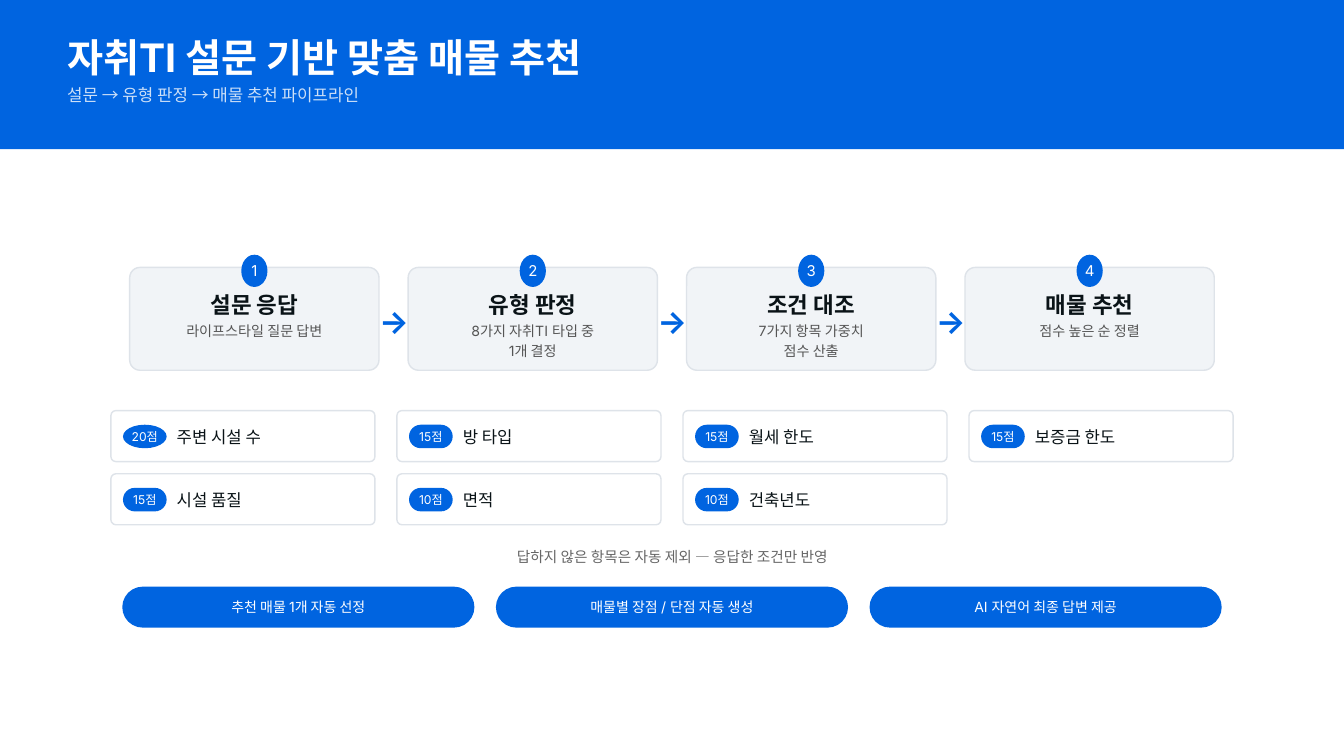
"""Build the slide on a survey-based home recommendation pipeline."""
import pptx
import pptx.util
import pptx.dml.color
import pptx.enum.shapes
import pptx.enum.text
import pptx.oxml.ns
import lxml.etree

RGBColor = pptx.dml.color.RGBColor
BLUE = RGBColor(0x00, 0x64, 0xE0)
WHITE = RGBColor(0xFF, 0xFF, 0xFF)
PALE = RGBColor(0xF1, 0xF4, 0xF7)
EDGE = RGBColor(0xDE, 0xE3, 0xE9)
INK = RGBColor(0x0A, 0x13, 0x17)
GRAY = RGBColor(0x55, 0x55, 0x55)
NOTE = RGBColor(0x66, 0x66, 0x66)
KIND = pptx.enum.shapes.MSO_SHAPE
LEFT = pptx.enum.text.PP_ALIGN.LEFT
MID = pptx.enum.text.PP_ALIGN.CENTER
COLS = 20
FONT = "Inter"

deck = pptx.Presentation()
deck.slide_width = pptx.util.Inches(20)
deck.slide_height = pptx.util.Inches(11.25)
slide = deck.slides.add_slide(deck.slide_layouts[6])
unit = deck.slide_width / COLS


def draw(kind, left, top, wide, high, fill, edge=None, bend=None):
    spot = [round(unit * part) for part in (left, top, wide, high)]
    shape = slide.shapes.add_shape(kind, *spot)
    shape.shadow.inherit = False
    shape.fill.solid()
    shape.fill.fore_color.rgb = fill
    if edge is None:
        shape.line.fill.background()
    else:
        shape.line.color.rgb = edge
        shape.line.width = pptx.util.Pt(1.5)
    if bend is not None:
        shape.adjustments[0] = bend
    return shape


def write(words, size, ink, spot=None, shape=None, bold=False, align=MID):
    if shape is None:
        shape = slide.shapes.add_textbox(*[round(unit * part) for part in spot])
    frame = shape.text_frame
    frame.text = words
    frame.word_wrap = spot is not None
    frame.margin_left = frame.margin_right = frame.margin_top = 0
    frame.margin_bottom = 0 if spot else round(unit * 0.04)
    for para in frame.paragraphs:
        para.alignment = align
        para.line_spacing = pptx.util.Pt(round(size * 1.4, 1))
        for run in para.runs:
            run.font.name = FONT
            run.font.size = pptx.util.Pt(size)
            run.font.bold = bold
            run.font.color.rgb = ink
    return frame


draw(KIND.RECTANGLE, 0, 0, COLS, 2.22, BLUE)
write("자취TI 설문 기반 맞춤 매물 추천", 42, WHITE, (1, 0.38, 12.5, 0.79), bold=True, align=LEFT)
lead = write("설문 → 유형 판정 → 매물 추천 파이프라인", 18, WHITE, (1, 1.21, 12.5, 0.34), align=LEFT)
tint = lead.paragraphs[0].runs[0]._r.find(".//" + pptx.oxml.ns.qn("a:srgbClr"))
lxml.etree.SubElement(tint, pptx.oxml.ns.qn("a:alpha")).set("val", "80000")

steps = [
    ("설문 응답", "라이프스타일 질문 답변"),
    ("유형 판정", "8가지 자취TI 타입 중\n1개 결정"),
    ("조건 대조", "7가지 항목 가중치\n점수 산출"),
    ("매물 추천", "점수 높은 순 정렬"),
]
edge, wide = 1.93, 3.71
pitch = (COLS - 2 * edge - wide) / (len(steps) - 1)
for spot, (name, text) in enumerate(steps):
    left = edge + spot * pitch
    draw(KIND.ROUNDED_RECTANGLE, left, 3.98, wide, 1.53, PALE, EDGE, 0.1)
    dot = draw(KIND.OVAL, left + (wide - 0.39) / 2, 3.79, 0.39, 0.48, BLUE)
    write(str(spot + 1), 16, WHITE, shape=dot)
    write(name, 24.1, INK, (left + 0.22, 4.26, 3.27, 0.44), bold=True)
    write(text, 15.1, GRAY, (left + 0.22, 4.76, 3.27, 0.57))
    if spot < len(steps) - 1:
        write("→", 33.5, BLUE, (left + wide, 4.4, pitch - wide, 0.62), bold=True)

rules = [
    (20, "주변 시설 수"), (15, "방 타입"), (15, "월세 한도"), (15, "보증금 한도"),
    (15, "시설 품질"), (10, "면적"), (10, "건축년도"),
]
edge, wide, across = 1.65, 3.93, 4
pitch = (COLS - 2 * edge - wide) / (across - 1)
for spot, (score, name) in enumerate(rules):
    row, col = divmod(spot, across)
    left, top = edge + col * pitch, 6.11 + row * 0.94
    draw(KIND.ROUNDED_RECTANGLE, left, top, wide, 0.76, WHITE, EDGE, 0.1)
    if score == 20:
        badge = draw(KIND.OVAL, left + 0.18, top + 0.21, 0.65, 0.35, BLUE)
    else:
        badge = draw(KIND.ROUNDED_RECTANGLE, left + 0.18, top + 0.21, 0.65, 0.35, BLUE, bend=0.5)
    write(f"{score}점", 13, WHITE, shape=badge)
    write(name, 17.9, INK, (left + 0.98, top + 0.19, 2.62, 0.33), align=LEFT)

write("답하지 않은 항목은 자동 제외 — 응답한 조건만 반영", 15.7, NOTE, (5.64, 8.11, 8.73, 0.29))

gains = ["추천 매물 1개 자동 선정", "매물별 장점 / 단점 자동 생성", "AI 자연어 최종 답변 제공"]
edge, wide = 1.82, 5.24
pitch = (COLS - 2 * edge - wide) / (len(gains) - 1)
for spot, text in enumerate(gains):
    pill = draw(KIND.ROUNDED_RECTANGLE, edge + spot * pitch, 8.73, wide, 0.61, BLUE, bend=0.5)
    write(text, 15, WHITE, shape=pill)

deck.save("out.pptx")
